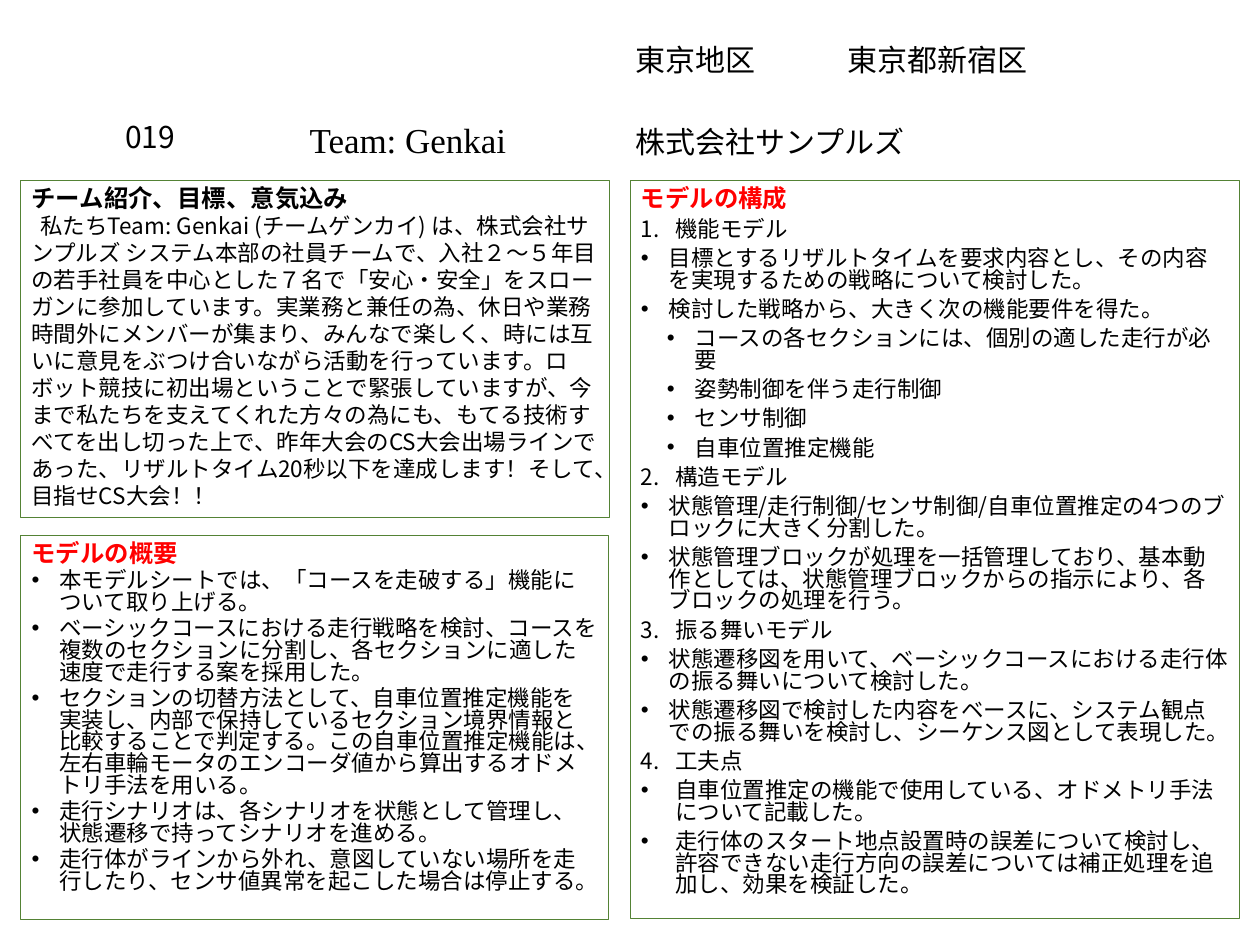
from lxml import etree
from pptx import Presentation
from pptx.dml.color import RGBColor
from pptx.enum.shapes import MSO_SHAPE
from pptx.enum.text import MSO_ANCHOR, MSO_AUTO_SIZE, PP_ALIGN
from pptx.oxml.ns import qn
from pptx.util import Inches, Pt

RECTANGLE = MSO_SHAPE.RECTANGLE
TOP, MIDDLE = MSO_ANCHOR.TOP, MSO_ANCHOR.MIDDLE
LEFT = PP_ALIGN.LEFT
NO_AUTOFIT = MSO_AUTO_SIZE.NONE

BLACK = RGBColor(0x00, 0x00, 0x00)
RED = RGBColor(0xFF, 0x00, 0x00)
GREEN = RGBColor(0x54, 0x82, 0x35)

GOTHIC = "Noto Sans CJK JP"
SERIF = "Times New Roman"

# Line pitches in points
HEADING_PITCH, LIST_PITCH, PROSE_PITCH = 21, 17.4, 21.6

# Paragraph kinds: level, left margin, first-line indent, bullet
PLAIN = (0, 0, 0, None)
PROSE = (0, 0, 0.1, None)
NUMBER = (0, 0.38, -0.38, "number")
ITEM = (0, 0.31, -0.31, "•")
SUBITEM = (1, 0.6, -0.31, "•")
WIDE_ITEM = (0, 0.38, -0.38, "•")

# Header fields: text, left, top, width, height
HEADER_FIELDS = [
    ("019", 1.25, 1.23, 0.79, 0.58),
    ("株式会社サンプルズ", 6.92, 1.28, 4.88, 0.58),
    ("東京地区", 6.92, 0.37, 1.89, 0.58),
    ("東京都新宿区", 9.28, 0.37, 2.52, 0.58),
]

INTRODUCTION = [
    (PROSE, "私たちTeam: Genkai (チームゲンカイ) は、株式会社サンプルズ システム本部の社員チームで、"
            "入社２～５年目の若手社員を中心とした７名で「安心・安全」をスローガンに参加しています。"
            "実業務と兼任の為、休日や業務時間外にメンバーが集まり、みんなで楽しく、"
            "時には互いに意見をぶつけ合いながら活動を行っています。"
            "ロボット競技に初出場ということで緊張していますが、"
            "今まで私たちを支えてくれた方々の為にも、もてる技術すべてを出し切った上で、"
            "昨年大会のCS大会出場ラインであった、リザルトタイム20秒以下を達成します！"
            "そして、目指せCS大会！！"),
]

OVERVIEW = [
    (ITEM, "本モデルシートでは、「コースを走破する」機能について取り上げる。"),
    (ITEM, "ベーシックコースにおける走行戦略を検討、コースを複数のセクションに分割し、"
           "各セクションに適した速度で走行する案を採用した。"),
    (ITEM, "セクションの切替方法として、自車位置推定機能を実装し、"
           "内部で保持しているセクション境界情報と比較することで判定する。"
           "この自車位置推定機能は、左右車輪モータのエンコーダ値から算出するオドメトリ手法を用いる。"),
    (ITEM, "走行シナリオは、各シナリオを状態として管理し、状態遷移で持ってシナリオを進める。"),
    (ITEM, "走行体がラインから外れ、意図していない場所を走行したり、"
           "センサ値異常を起こした場合は停止する。"),
]

STRUCTURE = [
    (NUMBER, "機能モデル"),
    (ITEM, "目標とするリザルトタイムを要求内容とし、その内容を実現するための戦略について検討した。"),
    (ITEM, "検討した戦略から、大きく次の機能要件を得た。"),
    (SUBITEM, "コースの各セクションには、個別の適した走行が必要"),
    (SUBITEM, "姿勢制御を伴う走行制御"),
    (SUBITEM, "センサ制御"),
    (SUBITEM, "自車位置推定機能"),
    (NUMBER, "構造モデル"),
    (ITEM, "状態管理/走行制御/センサ制御/自車位置推定の4つのブロックに大きく分割した。"),
    (ITEM, "状態管理ブロックが処理を一括管理しており、基本動作としては、"
           "状態管理ブロックからの指示により、各ブロックの処理を行う。"),
    (NUMBER, "振る舞いモデル"),
    (ITEM, "状態遷移図を用いて、ベーシックコースにおける走行体の振る舞いについて検討した。"),
    (ITEM, "状態遷移図で検討した内容をベースに、システム観点での振る舞いを検討し、"
           "シーケンス図として表現した。"),
    (NUMBER, "工夫点"),
    (WIDE_ITEM, "自車位置推定の機能で使用している、オドメトリ手法について記載した。"),
    (WIDE_ITEM, "走行体のスタート地点設置時の誤差について検討し、"
                "許容できない走行方向の誤差については補正処理を追加し、効果を検証した。"),
]


def apply(target, values):
    for name, value in values.items():
        setattr(target, name, value)


def place(shape, left, top, width, height):
    apply(shape, {"left": Inches(left), "top": Inches(top),
                  "width": Inches(width), "height": Inches(height)})


def set_frame(frame, anchor, left, vertical, right):
    apply(frame, {
        "word_wrap": True, "auto_size": NO_AUTOFIT, "vertical_anchor": anchor,
        "margin_left": Inches(left), "margin_right": Inches(right),
        "margin_top": Inches(vertical), "margin_bottom": Inches(vertical),
    })


def add_run(paragraph, text, size, font=GOTHIC, color=BLACK, bold=False):
    run = paragraph.add_run()
    run.text = text
    apply(run.font, {"size": Pt(size), "name": font, "bold": bold})
    run.font.color.rgb = color
    east_asian = etree.SubElement(run.font._element, qn("a:ea"))
    east_asian.set("typeface", GOTHIC)


def format_paragraph(paragraph, kind, pitch, before, number):
    level, margin, indent, bullet = kind
    apply(paragraph, {"level": level, "alignment": LEFT, "line_spacing": Pt(pitch),
                      "space_before": Pt(before), "space_after": Pt(0)})
    properties = paragraph._p.get_or_add_pPr()
    properties.set("marL", str(Inches(margin)))
    properties.set("indent", str(Inches(indent)))
    if bullet is None:
        etree.SubElement(properties, qn("a:buNone"))
    elif bullet == "number":
        etree.SubElement(properties, qn("a:buFont")).set("typeface", "+mj-lt")
        numbering = etree.SubElement(properties, qn("a:buAutoNum"))
        numbering.set("type", "arabicPeriod")
        numbering.set("startAt", str(number))
    else:
        etree.SubElement(properties, qn("a:buFont")).set("typeface", "Arial")
        etree.SubElement(properties, qn("a:buChar")).set("char", bullet)


def fill_header(shape, text, box, size=24, font=GOTHIC):
    place(shape, *box)
    frame = shape.text_frame
    set_frame(frame, MIDDLE, 0.14, 0.07, 0)
    frame.paragraphs[0].alignment = LEFT
    add_run(frame.paragraphs[0], text, size, font)


def fill_panel(shape, box, heading, color, content, pitch, before):
    place(shape, *box)
    shape.shadow.inherit = False
    shape.fill.background()
    shape.line.color.rgb = GREEN
    shape.line.width = Pt(0.75)
    frame = shape.text_frame
    set_frame(frame, TOP, 0.12, 0.06, 0.12)
    format_paragraph(frame.paragraphs[0], PLAIN, HEADING_PITCH, 0, 0)
    add_run(frame.paragraphs[0], heading, 19.5, SERIF, color, True)
    number = 0
    for kind, text in content:
        number += kind is NUMBER
        paragraph = frame.add_paragraph()
        format_paragraph(paragraph, kind, pitch, before, number)
        add_run(paragraph, text, 18)


def main():
    presentation = Presentation()
    presentation.slide_width = Inches(14)
    presentation.slide_height = Inches(10.5)
    slide = presentation.slides.add_slide(presentation.slide_layouts[3])
    title, overview, structure = slide.placeholders

    # Header: team name and entry details
    fill_header(title, "Team: Genkai", (3.3, 1.31, 2.4, 0.49), 28, SERIF)
    for text, *box in HEADER_FIELDS:
        fill_header(slide.shapes.add_textbox(0, 0, 0, 0), text, box)

    # Bordered panels
    introduction = slide.shapes.add_shape(RECTANGLE, 0, 0, 0, 0)
    fill_panel(introduction, (0.23, 2.01, 6.54, 3.74), "チーム紹介、目標、意気込み",
               BLACK, INTRODUCTION, PROSE_PITCH, 0)
    fill_panel(overview, (0.23, 5.95, 6.53, 4.27), "モデルの概要",
               RED, OVERVIEW, LIST_PITCH, 3.6)
    fill_panel(structure, (7, 2.01, 6.77, 8.2), "モデルの構成",
               RED, STRUCTURE, LIST_PITCH, 6)

    presentation.save("out.pptx")


if __name__ == "__main__":
    main()
